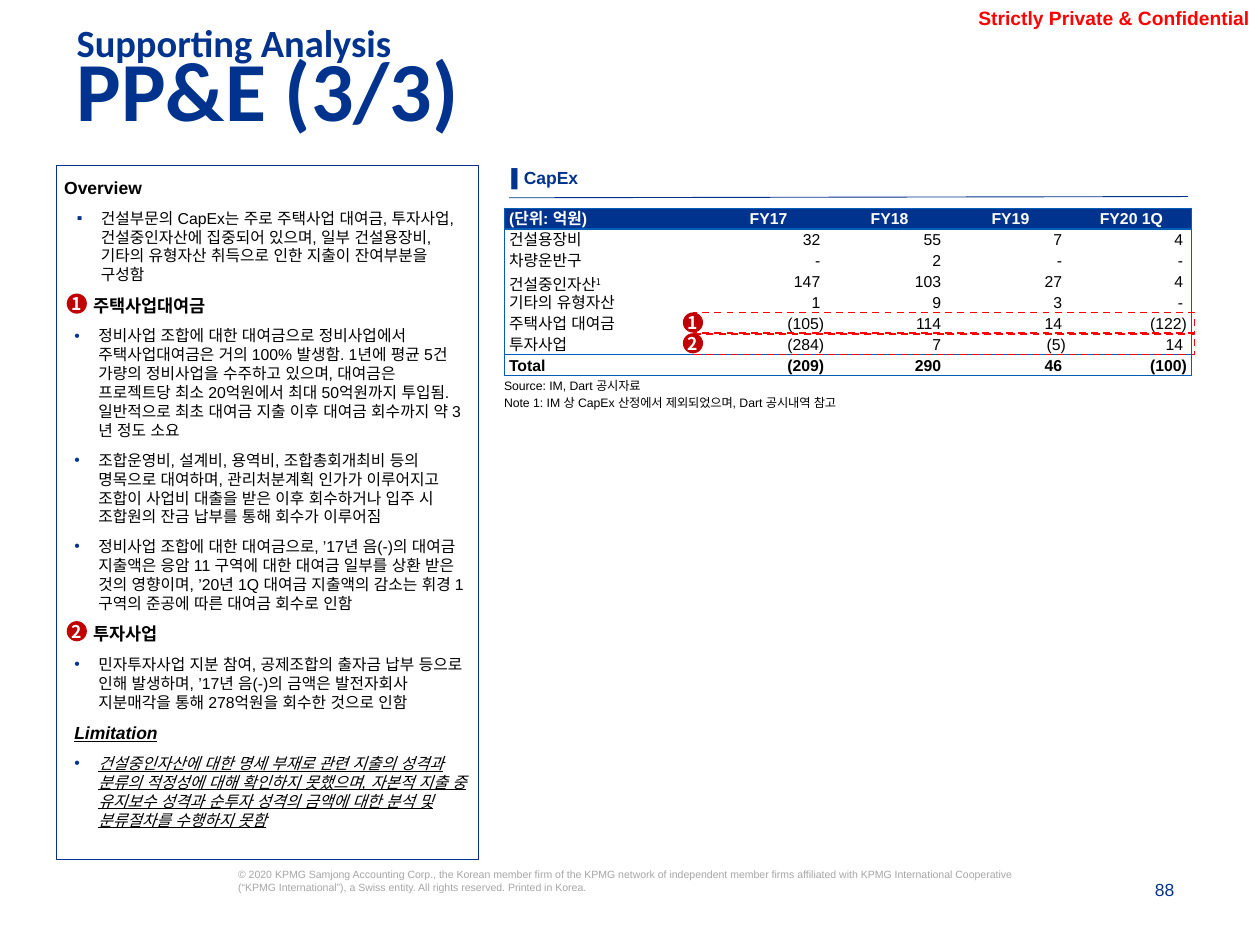
from dataclasses import dataclass

from lxml.etree import SubElement
from pptx import Presentation
from pptx.dml.color import RGBColor
from pptx.enum.dml import MSO_LINE
from pptx.enum.shapes import MSO_CONNECTOR, MSO_SHAPE
from pptx.enum.text import MSO_ANCHOR, PP_ALIGN
from pptx.oxml.ns import qn
from pptx.util import Inches, Pt


@dataclass(frozen=True)
class Theme:
    navy: str = "00338D"
    blue: str = "005EB8"
    red: str = "FF0000"
    dark: str = "C00000"
    gray: str = "A6A6A6"
    black: str = "000000"
    white: str = "FFFFFF"
    sans: str = "Arial"
    head: str = "Calibri"
    hangul: str = "Noto Sans CJK KR"
    tiny: float = 6
    note: float = 7
    body: float = 9
    label: float = 10
    stamp: float = 11
    over: float = 22
    title: float = 48


T = Theme()
LEFT, MID, RIGHT = PP_ALIGN.LEFT, PP_ALIGN.CENTER, PP_ALIGN.RIGHT
TOP, HALF, LOW = MSO_ANCHOR.TOP, MSO_ANCHOR.MIDDLE, MSO_ANCHOR.BOTTOM


def apply(item, values):
    for name, value in values.items():
        setattr(item, name, value)


def rgb(code):
    return RGBColor.from_string(code)


class Page:
    def __init__(self, deck, cols=100, rows=75):
        self.slide = deck.slides.add_slide(deck.slide_layouts[6])
        self.shapes = self.slide.shapes
        self.col = deck.slide_width / cols
        self.row = deck.slide_height / rows

    def place(self, x, y, w, h):
        return [round(v * u) for v, u in zip((x, y, w, h), (self.col, self.row) * 2)]

    def run(self, para, text, size, color=T.black, name=T.sans, **style):
        run = para.add_run()
        run.text = text
        run.font.fill.solid()
        run.font.fill.fore_color.rgb = rgb(color)
        apply(run.font, dict(size=Pt(size), name=name, **style))
        SubElement(run._r.get_or_add_rPr(), qn("a:ea"), typeface=T.sans)
        return run

    def bullet(self, para, mark, left, hang):
        props = para._p.get_or_add_pPr()
        props.set("marL", str(Inches(left)))
        props.set("indent", str(Inches(-hang)))
        if mark:
            tint = SubElement(props, qn("a:buClr"))
            SubElement(tint, qn("a:srgbClr"), val=T.navy)
            SubElement(props, qn("a:buFont"), typeface=T.sans)
            SubElement(props, qn("a:buChar"), char=mark)
        else:
            SubElement(props, qn("a:buNone"))

    def frame(self, shape, anchor, inset):
        left, top = inset
        apply(shape.text_frame, dict(
            word_wrap=True, vertical_anchor=anchor,
            margin_left=Inches(left), margin_right=Inches(left),
            margin_top=Inches(top), margin_bottom=Inches(top)))
        return shape.text_frame

    def text(self, at, words, size, color, align=LEFT, anchor=TOP,
             inset=(0, 0), lead=1.0, **style):
        frame = self.frame(self.shapes.add_textbox(*self.place(*at)), anchor, inset)
        para = frame.paragraphs[0]
        apply(para, dict(alignment=align, line_spacing=lead))
        self.run(para, words, size, color, **style)

    def shape(self, kind, at, fill=None, line=None, width=0.5, dash=None):
        shape = self.shapes.add_shape(kind, *self.place(*at))
        shape.shadow.inherit = False
        if fill:
            shape.fill.solid()
            shape.fill.fore_color.rgb = rgb(fill)
        else:
            shape.fill.background()
        if line:
            shape.line.color.rgb = rgb(line)
            apply(shape.line, dict(width=Pt(width), dash_style=dash))
        else:
            shape.line.fill.background()
        return shape

    def badge(self, x, y, digit):
        dot = self.shape(MSO_SHAPE.FLOWCHART_CONNECTOR, (x, y, 1.6, 1.6), T.dark)
        frame = self.frame(dot, HALF, (0, 0))
        frame.word_wrap = False
        para = frame.paragraphs[0]
        para.alignment = MID
        self.run(para, digit, T.label, T.white, T.hangul, bold=True)

    def panel(self, at, items):
        box = self.shape(MSO_SHAPE.RECTANGLE, at, line=T.navy)
        frame = self.frame(box, TOP, (0.06, 0.06))
        for n, (words, mark, left, hang, lead, style) in enumerate(items):
            para = frame.add_paragraph() if n else frame.paragraphs[0]
            self.bullet(para, mark, left, hang)
            apply(para, dict(alignment=LEFT, line_spacing=lead,
                             space_before=Pt(6 if n else 0)))
            self.run(para, words, **style)

    def rule(self, x, y, right, end):
        start, stop = self.place(x, y, right, end)[:2], self.place(x, y, right, end)[2:]
        line = self.shapes.add_connector(MSO_CONNECTOR.STRAIGHT, *start, *stop)
        line.line.color.rgb = rgb(T.navy)
        line.line.width = Pt(0.5)
        SubElement(line._element.spPr, qn("a:effectLst"))

    def edges(self, cell, widths):
        props = cell._tc.get_or_add_tcPr()
        for side in "LRTB":
            width = widths.get(side)
            line = SubElement(props, qn("a:ln" + side), w=str(Pt(width or 0)))
            if width:
                SubElement(SubElement(line, qn("a:solidFill")), qn("a:srgbClr"), val=T.blue)
            else:
                SubElement(line, qn("a:noFill"))

    def table(self, at, rows, wide):
        last, end = len(rows) - 1, len(rows[0]) - 1
        table = self.shapes.add_table(last + 1, end + 1, *self.place(*at)).table
        apply(table, dict(first_row=False, horz_banding=False))
        for n, col in enumerate(table.columns):
            col.width = round(self.col * (wide if n == 0 else (at[2] - wide) / end))
        above = {0: 0.5, 1: 1, last: 0.5}
        below = {0: 1, last - 1: 0.5, last: 1}
        for r, row in enumerate(rows):
            for c, words in enumerate(row):
                cell = table.cell(r, c)
                self.edges(cell, {"L": 0.5 * (c == 0), "R": 0.5 * (c == end),
                                  "T": above.get(r), "B": below.get(r)})
                if r:
                    cell.fill.background()
                else:
                    cell.fill.solid()
                    cell.fill.fore_color.rgb = rgb(T.navy)
                plain = r and c and not words.endswith(")")
                apply(cell, dict(
                    vertical_anchor=HALF, margin_left=Inches(0.04),
                    margin_right=Inches(0.07 if plain else 0.04),
                    margin_top=Inches(0.01), margin_bottom=0))
                para = cell.text_frame.paragraphs[0]
                para.alignment = LEFT if c == 0 else RIGHT if r else MID
                self.run(para, words, T.body, T.black if r else T.white,
                         bold=r in (0, last))
        return table


def main():
    deck = Presentation()
    apply(deck, dict(slide_width=Inches(10), slide_height=Inches(7.5)))
    page = Page(deck)

    page.text((80.1, 69.8, 13.1, 1.6), "88", T.label, T.navy, RIGHT, LOW)
    page.text((18.9, 68.9, 63.6, 4.2), "© 2020 KPMG Samjong Accounting Corp., the Korean member firm of the KPMG network of independent member firms affiliated with KPMG International Cooperative (“KPMG International”), a Swiss entity. All rights reserved. Printed in Korea.", T.tiny, T.gray)
    page.text((74.6, -0.1, 25, 2.8), "Strictly Private & Confidential", T.stamp, T.red,
              RIGHT, LOW, (0.04, 0.04), bold=True)
    for words, y, h, size in (("PP&E (3/3)", 4.7, 7.9, T.title),
                              ("Supporting Analysis", 2, 3, T.over)):
        page.text((5.1, y, 94, h), words, size, T.navy, inset=(0.1, 0.05),
                  lead=0.7, name=T.head, bold=True)
    page.rule(40.4, 15.7, 94.3, 15.6)
    page.text((40.6, 12, 54, 3.9), "▌CapEx", T.label, T.navy, anchor=HALF,
              lead=1.2, bold=True)

    bold = dict(size=T.label, bold=True)
    flat = dict(size=T.body, bold=False)
    lean = dict(italic=True, underline=True)
    topic = (None, 0.23, 0, 1.0, bold)
    point = ("•", 0.27, 0.19, 1.0, flat)
    page.panel((4.5, 13.1, 33.5, 55.1), (
        ("Overview", None, 0, 0, 1.2, bold),
        ("건설부문의 CapEx는 주로 주택사업 대여금, 투자사업, 건설중인자산에 집중되어 있으며, 일부 건설용장비, 기타의 유형자산 취득으로 인한 지출이 잔여부분을 구성함", "▪", 0.29, 0.19, 1.0, flat),
        ("주택사업대여금", *topic),
        ("정비사업 조합에 대한 대여금으로 정비사업에서 주택사업대여금은 거의 100% 발생함. 1년에 평균 5건 가량의 정비사업을 수주하고 있으며, 대여금은 프로젝트당 최소 20억원에서 최대 50억원까지 투입됨. 일반적으로 최초 대여금 지출 이후 대여금 회수까지 약 3년 정도 소요", *point),
        ("조합운영비, 설계비, 용역비, 조합총회개최비 등의 명목으로 대여하며, 관리처분계획 인가가 이루어지고 조합이 사업비 대출을 받은 이후 회수하거나 입주 시 조합원의 잔금 납부를 통해 회수가 이루어짐", *point),
        ("정비사업 조합에 대한 대여금으로, ’17년 음(-)의 대여금 지출액은 응암 11 구역에 대한 대여금 일부를 상환 받은 것의 영향이며, ’20년 1Q 대여금 지출액의 감소는 휘경 1구역의 준공에 따른 대여금 회수로 인함", *point),
        ("투자사업", *topic),
        ("민자투자사업 지분 참여, 공제조합의 출자금 납부 등으로 인해 발생하며, ’17년 음(-)의 금액은 발전자회사 지분매각을 통해 278억원을 회수한 것으로 인함", *point),
        ("Limitation", None, 0.08, 0, 1.0, bold | lean),
        ("건설중인자산에 대한 명세 부재로 관련 지출의 성격과 분류의 적정성에 대해 확인하지 못했으며, 자본적 지출 중 유지보수 성격과 순투자 성격의 금액에 대한 분석 및 분류절차를 수행하지 못함", *point[:-1], flat | lean)))

    for words, y in (("Note 1: IM 상 CapEx 산정에서 제외되었으며, Dart 공시내역 참고", 31.4),
                     ("Source: IM, Dart 공시자료", 30)):
        page.text((40, y, 56.5, 1.2), words, T.note, T.black)

    table = page.table((40, 16.5, 54.6, 13.3), (
        ("(단위: 억원)", "FY17", "FY18", "FY19", "FY20 1Q"),
        ("건설용장비", "32", "55", "7", "4"),
        ("차량운반구", "-", "2", "-", "-"),
        ("건설중인자산", "147", "103", "27", "4"),
        ("기타의 유형자산", "1", "9", "3", "-"),
        ("주택사업 대여금", "(105)", "114", "14", "(122)"),
        ("투자사업", "(284)", "7", "(5)", "14"),
        ("Total", "(209)", "290", "46", "(100)")), 16.2)
    mark = page.run(table.cell(3, 0).text_frame.paragraphs[0], "1", T.body,
                    name=T.hangul, bold=False)
    mark._r.get_or_add_rPr().set("baseline", "30000")

    for n, (digit, y) in enumerate((("1", 23.3), ("2", 49.3))):
        top = 24.8 + 1.65 * n
        page.shape(MSO_SHAPE.RECTANGLE, (55.1, top, 39.7, 1.7), line=T.red,
                   width=1, dash=MSO_LINE.DASH)
        page.badge(54.2, top, digit)
        page.badge(5.3, y, digit)

    deck.save("out.pptx")


if __name__ == "__main__":
    main()
